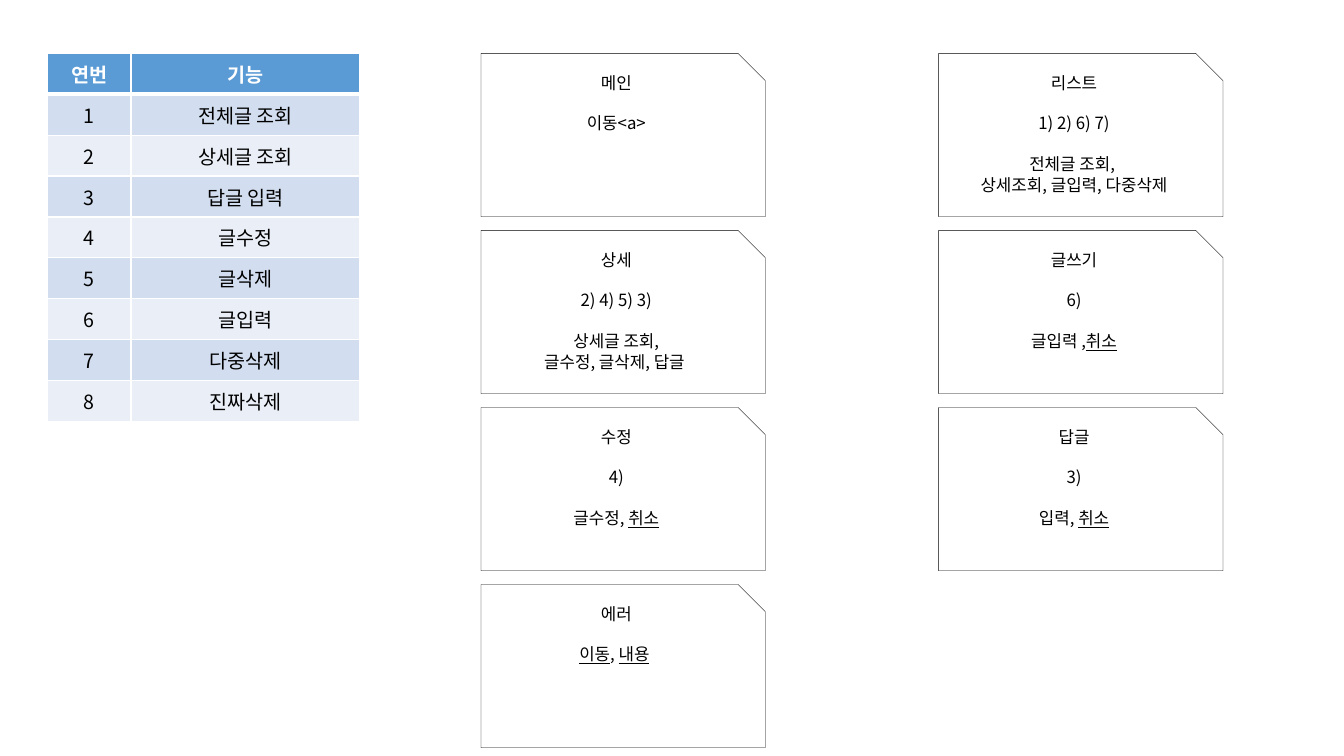
"""Build a slide with a table of board functions and cards for its pages."""
import pptx
import pptx.dml.color
import pptx.enum.shapes
import pptx.enum.text
import pptx.oxml
import pptx.oxml.ns
import pptx.util

WIDE, HIGH = 13.33, 7.5
FONT = "Noto Sans CJK KR"
LINE = 14.6
INK = {"black": "000000", "white": "FFFFFF", "head": "5B9BD5",
       "odd": "D2DEEF", "even": "EAEFF7"}
LEFT, TOP = 4.77, 0.53
STEP_X, STEP_Y = 4.54, 1.756
CARD_W, CARD_H = 2.82, 1.62
TASKS = ["전체글 조회", "상세글 조회", "답글 입력", "글수정",
         "글삭제", "글입력", "다중삭제", "진짜삭제"]
CARDS = [
    (0, 0, ["메인", "이동<a>"]),
    (1, 0, ["리스트", "1) 2) 6) 7)", "전체글 조회, \n상세조회, 글입력, 다중삭제"]),
    (0, 1, ["상세", "2) 4) 5) 3)", "상세글 조회,\n글수정, 글삭제, 답글 "]),
    (1, 1, ["글쓰기", "6)", "글입력 ,_취소_"]),
    (0, 2, ["수정", "4)", "글수정, _취소_"]),
    (1, 2, ["답글", "3)", "입력, _취소_"]),
    (0, 3, ["에러", "_이동_, _내용_ "]),
]


def inch(size):
    """Return a length in inches."""
    return pptx.util.Inches(size)


def tint(name):
    """Return a named colour."""
    return pptx.dml.color.RGBColor.from_string(INK[name])


def write(para, text, size, ink="black", bold=False):
    """Fill a centred paragraph; parts between underscores are underlined."""
    para.alignment = pptx.enum.text.PP_ALIGN.CENTER
    font = para.font
    font.name, font.size, font.bold = FONT, pptx.util.Pt(size), bold
    font.color.rgb = tint(ink)
    for latin in para._p.xpath(".//a:latin"):
        east = pptx.oxml.parse_xml(
            f'<a:ea {pptx.oxml.ns.nsdecls("a")} typeface="{FONT}"/>')
        latin.addnext(east)
    for spot, part in enumerate(text.split("_")):
        if part:
            run = para.add_run()
            run.text = part
            if spot % 2:
                run.font.underline = True


def edge(cell, side, width):
    """Add a white border to one side of a cell."""
    cell._tc.get_or_add_tcPr().append(pptx.oxml.parse_xml(
        f'<a:ln{side} {pptx.oxml.ns.nsdecls("a")} w="{pptx.util.Pt(width)}">'
        f'<a:solidFill><a:srgbClr val="{INK["white"]}"/></a:solidFill>'
        f'</a:ln{side}>'))


def add_list(slide):
    """Add the numbered table of functions."""
    rows = [("연번", "기능")]
    rows += [(str(num), task) for num, task in enumerate(TASKS, 1)]
    table = slide.shapes.add_table(
        len(rows), 2, inch(0.47), inch(TOP), inch(3.1), inch(3.65)).table
    for col, width in zip(table.columns, (0.83, 2.27)):
        col.width = inch(width)
    for r, row in enumerate(rows):
        for c, text in enumerate(row):
            cell = table.cell(r, c)
            for side in "LRTB":
                thick = (r, side) in ((0, "B"), (1, "T"))
                edge(cell, side, 3 if thick else 1)
            cell.fill.solid()
            fill = "head" if r == 0 else ("odd" if r % 2 else "even")
            cell.fill.fore_color.rgb = tint(fill)
            cell.vertical_anchor = pptx.enum.text.MSO_ANCHOR.MIDDLE
            write(cell.text_frame.paragraphs[0], text, 14,
                  "black" if r else "white", r == 0)


def add_card(slide, col, row, blocks):
    """Add a page card at a grid place, with one line between blocks."""
    card = slide.shapes.add_shape(
        pptx.enum.shapes.MSO_SHAPE.SNIP_1_RECTANGLE,
        inch(LEFT + col * STEP_X), inch(TOP + row * STEP_Y),
        inch(CARD_W), inch(CARD_H))
    card.shadow.inherit = False
    card.fill.background()
    card.line.color.rgb = tint("black")
    card.line.width = pptx.util.Pt(0.25)
    frame = card.text_frame
    frame.word_wrap = True
    frame.vertical_anchor = pptx.enum.text.MSO_ANCHOR.TOP
    para = frame.paragraphs[0]
    for b, block in enumerate(blocks):
        for n, text in enumerate(block.split("\n")):
            if b or n:
                para = frame.add_paragraph()
            para.line_spacing = pptx.util.Pt(LINE)
            if b and n == 0:
                para.space_before = pptx.util.Pt(LINE)
            write(para, text, 12)


def main():
    """Build and save the slide."""
    deck = pptx.Presentation()
    deck.slide_width, deck.slide_height = inch(WIDE), inch(HIGH)
    slide = deck.slides.add_slide(deck.slide_layouts[6])
    add_list(slide)
    for col, row, blocks in CARDS:
        add_card(slide, col, row, blocks)
    deck.save("out.pptx")


if __name__ == "__main__":
    main()
